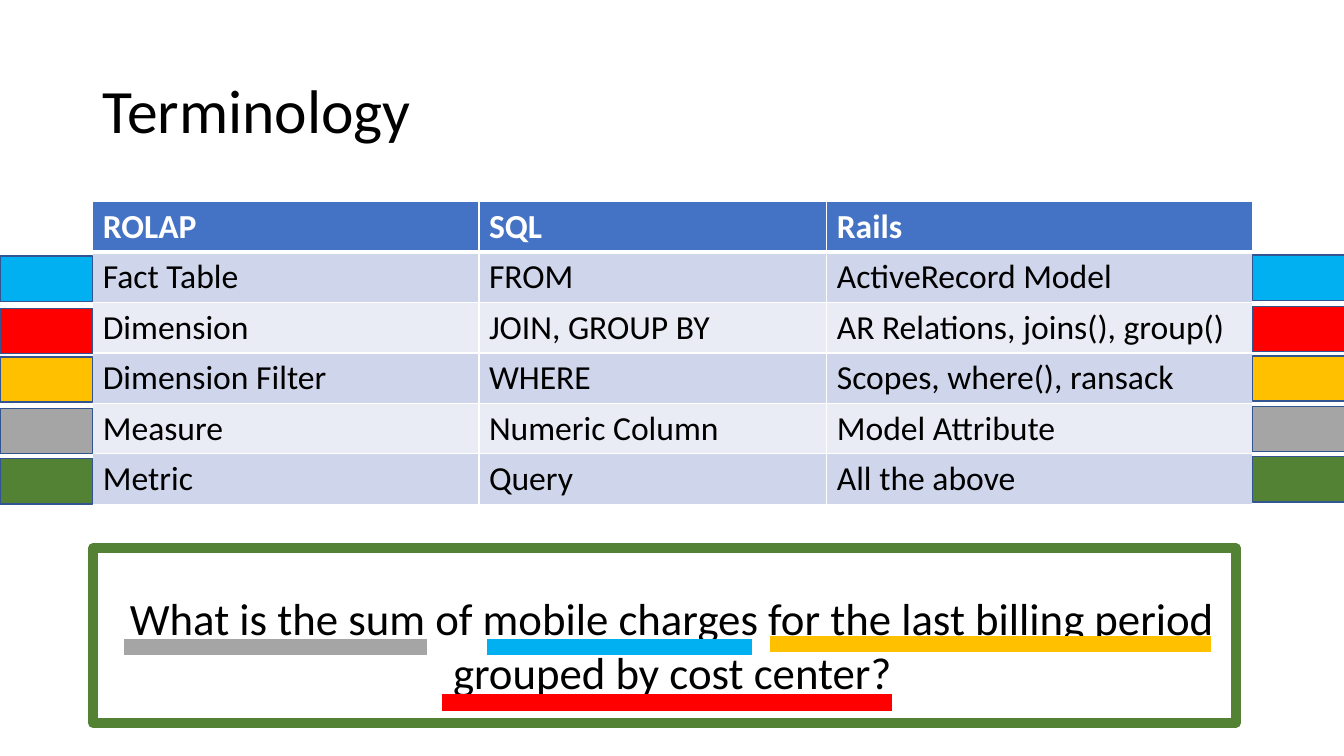
from pptx import Presentation
from pptx.dml.color import RGBColor
from pptx.enum.shapes import MSO_CONNECTOR, MSO_SHAPE
from pptx.enum.text import MSO_ANCHOR, PP_ALIGN
from pptx.oxml import parse_xml
from pptx.oxml.ns import nsdecls
from pptx.util import Emu, Pt

RECT = MSO_SHAPE.RECTANGLE
LINE = MSO_CONNECTOR.STRAIGHT
MIDDLE, TOP = MSO_ANCHOR.MIDDLE, MSO_ANCHOR.TOP
LEFT, CENTER = PP_ALIGN.LEFT, PP_ALIGN.CENTER

# Content
TITLE = "Terminology"
QUERY = ("What is the sum of mobile charges for the last billing period "
         "grouped by cost center?")
ROWS = [
    ("ROLAP", "SQL", "Rails"),
    ("Fact Table", "FROM", "ActiveRecord Model"),
    ("Dimension", "JOIN, GROUP BY", "AR Relations, joins(), group()"),
    ("Dimension Filter", "WHERE", "Scopes, where(), ransack"),
    ("Measure", "Numeric Column", "Model Attribute"),
    ("Metric", "Query", "All the above"),
]
# Colour of each term, with the tops of its left and right tabs
TABS = [("fact", 254, 253), ("dim", 306, 304), ("filter", 354, 353),
        ("measure", 405, 403), ("metric", 455, 453)]
# Underlines below the query: colour, start, end, height
MARKS = [("dim", 438, 885, 697), ("fact", 483, 746, 642),
         ("filter", 764, 1201, 639), ("measure", 123, 424, 642)]

THEME = {
    "font": "Calibri", "title": 44, "query": 32, "cell": 24,
    "text": "000000", "white": "FFFFFF", "head": "4472C4",
    "odd": "CFD5EA", "even": "E9EBF5", "edge": "325491",
    "fact": "00B0F0", "dim": "FF0000", "filter": "FFC000",
    "measure": "A5A5A5", "metric": "548235",
}

# Layout in px, 100 to the inch
WIDE, HIGH = 1333, 750
SIDE, BODY = 92, 1150
COLS = (383, 345, 422)
TABLE_TOP, ROW = 200, 50
TAB = 45


def px(num):
    return Emu(num * 9144)


def color(name):
    return RGBColor.from_string(THEME[name])


def style(para, size, ink="text", bold=False):
    font = para.font
    font.name, font.size, font.bold = THEME["font"], Pt(THEME[size]), bold
    font.color.rgb = color(ink)


def add_text(text, top, height, size, anchor, align, space):
    box = slide.shapes.add_textbox(px(SIDE), px(top), px(BODY), px(height))
    frame = box.text_frame
    frame.word_wrap, frame.vertical_anchor = True, anchor
    para = frame.paragraphs[0]
    para.text, para.alignment, para.line_spacing = text, align, space
    style(para, size)


def add_rect(left, top, width, height, fill, edge, weight):
    rect = slide.shapes.add_shape(RECT, px(left), px(top), px(width), px(height))
    rect.shadow.inherit = False
    if fill:
        rect.fill.solid()
        rect.fill.fore_color.rgb = color(fill)
    else:
        rect.fill.background()
    rect.line.color.rgb, rect.line.width = color(edge), Pt(weight)


def add_border(cell, head):
    for side in "LRTB":
        width = Pt(3 if head and side == "B" else 1)
        cell._tc.get_or_add_tcPr().append(parse_xml(
            f'<a:ln{side} {nsdecls("a")} w="{width}"><a:solidFill>'
            f'<a:srgbClr val="{THEME["white"]}"/></a:solidFill></a:ln{side}>'))


deck = Presentation()
deck.slide_width, deck.slide_height = px(WIDE), px(HIGH)
slide = deck.slides.add_slide(deck.slide_layouts[6])

# Title
add_text(TITLE, 40, 145, "title", MIDDLE, LEFT, 0.9)

# Table of terms
table = slide.shapes.add_table(len(ROWS), len(COLS), px(SIDE), px(TABLE_TOP),
                               px(BODY), px(ROW * len(ROWS))).table
for col, width in zip(table.columns, COLS):
    col.width = px(width)
for i, row in enumerate(ROWS):
    head = i == 0
    fill = "head" if head else "odd" if i % 2 else "even"
    for j, text in enumerate(row):
        cell = table.cell(i, j)
        cell.text = text
        style(cell.text_frame.paragraphs[0], "cell",
              "white" if head else "text", head)
        add_border(cell, head)
        cell.fill.solid()
        cell.fill.fore_color.rgb = color(fill)

# Query with its underlines and frame
add_text(QUERY, 581, 118, "query", TOP, CENTER, 1.0)
for name, start, end, y in MARKS:
    mark = slide.shapes.add_connector(LINE, px(start), px(y), px(end), px(y))
    mark.line.color.rgb, mark.line.width = color(name), Pt(12)
    mark._element.spPr.append(parse_xml(f'<a:effectLst {nsdecls("a")}/>'))
add_rect(SIDE, 544, 1134, 173, None, "metric", 7)

# Colour tabs on both sides of the table
for name, *tops in TABS:
    for left, top in zip((0, SIDE + BODY), tops):
        add_rect(left, top, SIDE, TAB, name, "edge", 1)

deck.save("out.pptx")
